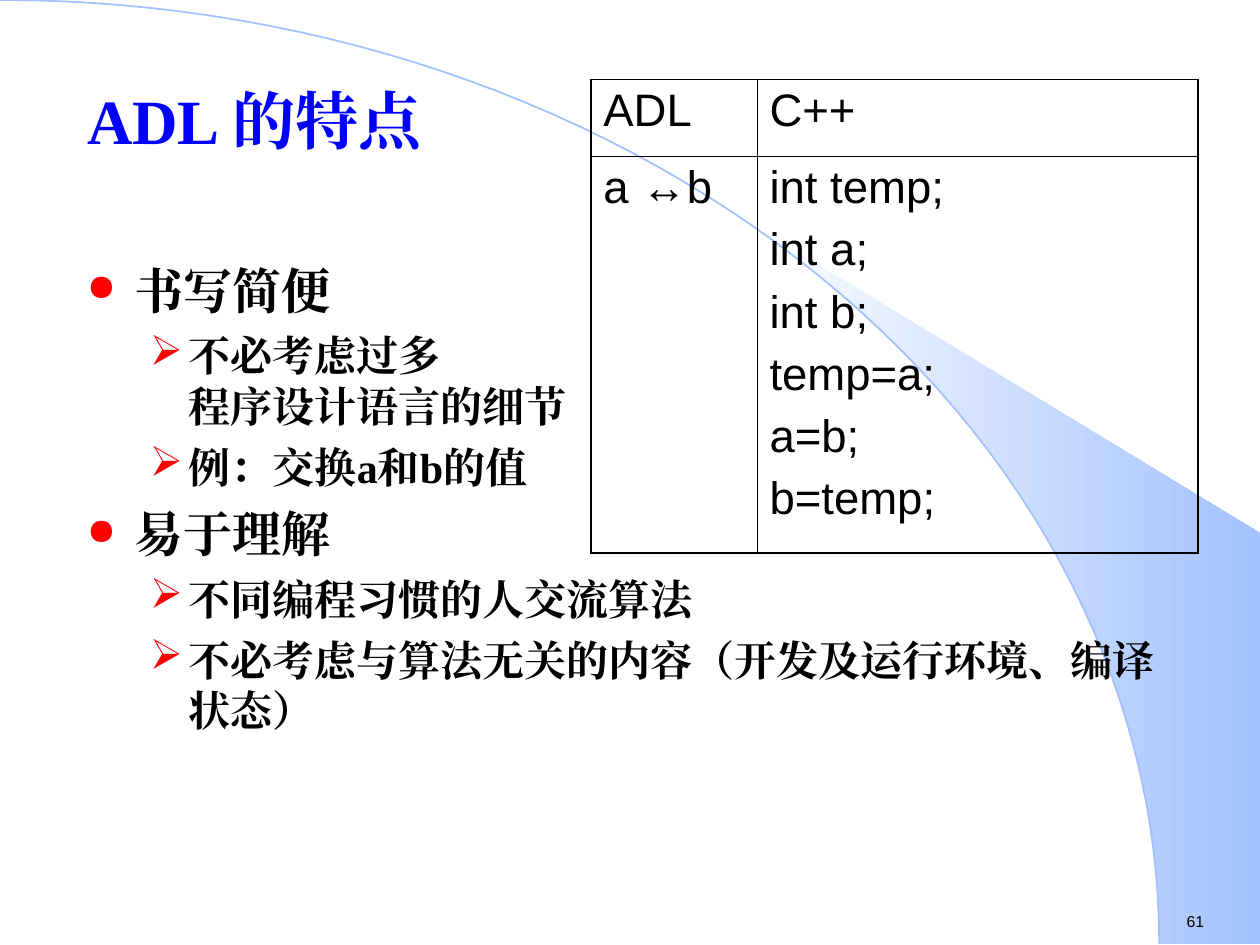
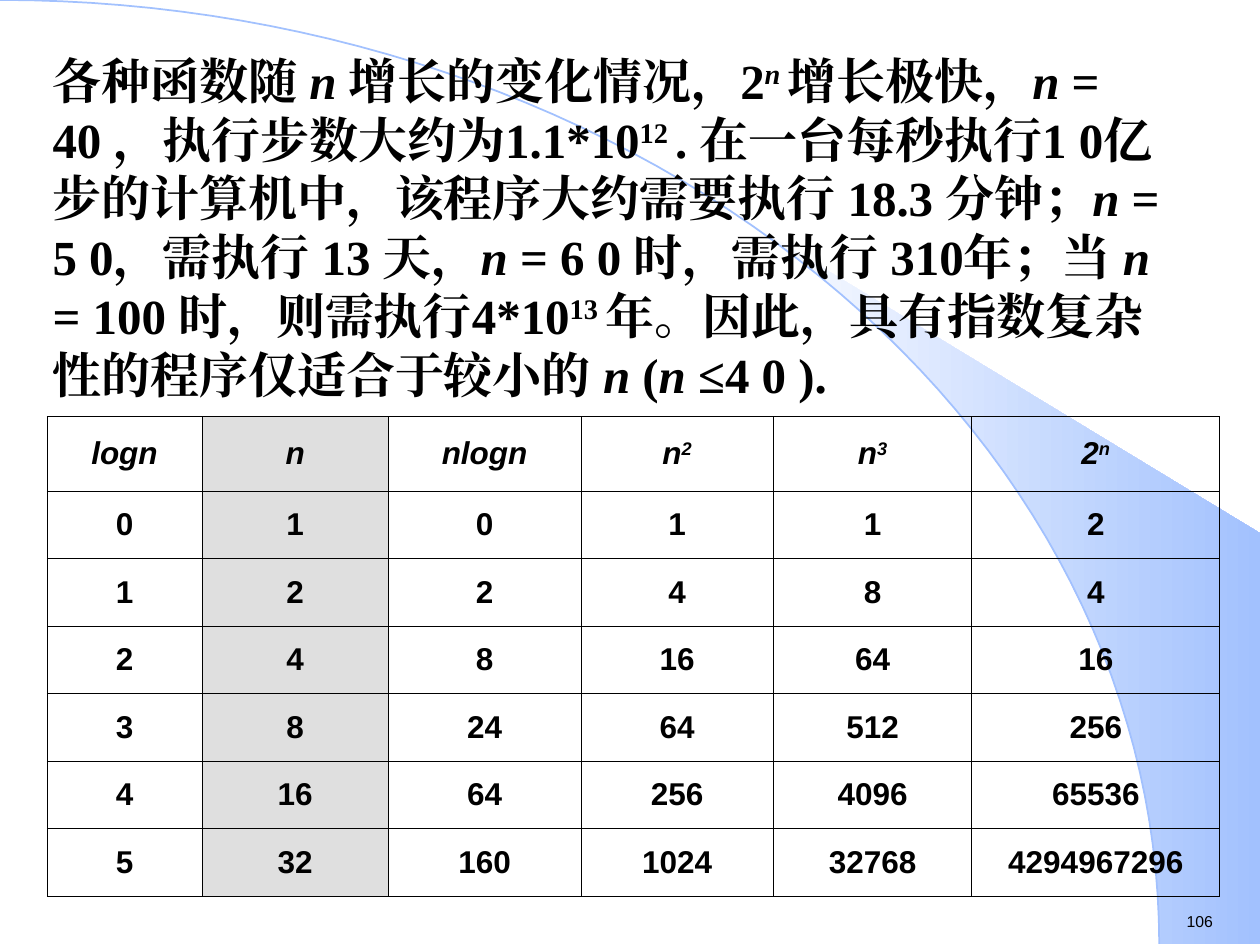
import math

import pptx
import pptx.dml.color
import pptx.enum.text
import pptx.oxml
import pptx.oxml.ns
import pptx.util

Cm = pptx.util.Cm
Pt = pptx.util.Pt
RGBColor = pptx.dml.color.RGBColor
ANCHOR = pptx.enum.text.MSO_ANCHOR
ALIGN = pptx.enum.text.PP_ALIGN

BLACK = RGBColor(0x00, 0x00, 0x00)
WHITE = RGBColor(0xFF, 0xFF, 0xFF)
BLUE = RGBColor(0x00, 0x00, 0xFF)
RED = RGBColor(0xFF, 0x00, 0x00)
SKY = RGBColor(0xA2, 0xC1, 0xFE)
GREY = RGBColor(0xDF, 0xDF, 0xDF)

SERIF = "Times New Roman"
SANS = "Arial"
WIDE, HIGH = 25.4, 19.05
ARC_W, ARC_H = 23.37, 19.03
THIN, THICK = 0.45, 1.08


def node(tag, **attrs):
    """Make an element in the drawing namespace."""
    item = pptx.oxml.parse_xml(f"<a:{tag} {pptx.oxml.ns.nsdecls('a')}/>")
    for key, value in attrs.items():
        item.set(key, str(value))
    return item


def colour(tag, rgb):
    item = node(tag)
    item.append(node("srgbClr", val=rgb))
    return item


class Deck:
    # Bullet level: mark, size in percent, left edge, hang, space before, text size
    LEVELS = [("●", 75, 0.97, 0.97, 7, 28), ("➢", 100, 2.06, 0.79, 6, 24)]

    def __init__(self):
        self.prs = pptx.Presentation()
        self.prs.slide_width, self.prs.slide_height = Cm(WIDE), Cm(HIGH)
        self.slide = None

    def page(self, number, title=False):
        """Start a slide with the shared backdrop and its number."""
        layout = self.prs.slide_layouts[5 if title else 6]
        self.slide = self.prs.slides.add_slide(layout)
        self.backdrop()
        frame = self.box(23.67, 18.26, 1.96, 0.64)
        frame.word_wrap = False
        frame.auto_size = pptx.enum.text.MSO_AUTO_SIZE.SHAPE_TO_FIT_TEXT
        frame.text = number
        self.font(frame.paragraphs[0], 9, SANS)

    def outline(self, points, close):
        spots = [(Cm(x), Cm(y)) for x, y in points]
        pen = self.slide.shapes.build_freeform(*spots[0])
        pen.add_line_segments(spots[1:], close=close)
        shape = pen.convert_to_shape()
        shape.shadow.inherit = False
        return shape

    def backdrop(self):
        """Draw the shaded fan and the quarter arc that bounds it."""
        def curve(start, steps):
            turns = [start + (math.pi / 2 - start) * k / steps for k in range(steps + 1)]
            return [(ARC_W * math.sin(t), ARC_H * (1 - math.cos(t))) for t in turns]

        tip = math.asin(14.96 / ARC_W)
        fan = self.outline(curve(tip, 24) + [(WIDE, ARC_H), (WIDE, 10.75)], True)
        fan.line.fill.background()
        fan.fill.gradient()
        fan.fill.gradient_angle = 0
        for stop, rgb in zip(fan.fill.gradient_stops, (WHITE, SKY)):
            stop.color.rgb = rgb
        arc = self.outline(curve(0, 60), False)
        arc.fill.background()
        arc.line.color.rgb = SKY
        arc.line.width = Pt(1)

    def font(self, para, size, face, bold=False, rgb=BLACK):
        for run in para.runs:
            run.font.size, run.font.name = Pt(size), face
            run.font.bold = run.font.bold or bold
            run.font.color.rgb = rgb
            run._r.get_or_add_rPr().append(node("ea", typeface=face))

    def rich(self, para, parts):
        """Add runs; a pair holds text and marks: b bold, i italic, s raised."""
        for part in [parts] if isinstance(parts, str) else parts:
            text, marks = (part, "") if isinstance(part, str) else part
            run = para.add_run()
            run.text = text
            run.font.bold = "b" in marks
            run.font.italic = "i" in marks
            if "s" in marks:
                run._r.get_or_add_rPr().set("baseline", "30000")

    def box(self, left, top, width, height):
        shape = self.slide.shapes.add_textbox(Cm(left), Cm(top), Cm(width), Cm(height))
        shape.text_frame.word_wrap = True
        return shape.text_frame

    def title(self, text, left, top, width, height):
        shape = self.slide.shapes.title
        shape.left, shape.top = Cm(left), Cm(top)
        shape.width, shape.height = Cm(width), Cm(height)
        frame = shape.text_frame
        frame.text = text
        frame.vertical_anchor = ANCHOR.TOP
        para = frame.paragraphs[0]
        para.alignment = ALIGN.LEFT
        self.font(para, 36, SERIF, True, BLUE)

    def bullets(self, items, *place):
        frame = self.box(*place)
        for index, (level, text) in enumerate(items):
            mark, scale, left, hang, gap, size = self.LEVELS[level]
            para = frame.add_paragraph() if index else frame.paragraphs[0]
            para.text = text
            para.level = level
            if index:
                para.space_before = Pt(gap)
            props = para._p.get_or_add_pPr()
            props.set("marL", str(Cm(left)))
            props.set("indent", str(-Cm(hang)))
            props.append(colour("buClr", RED))
            props.append(node("buSzPct", val=scale * 1000))
            props.append(node("buChar", char=mark))
            self.font(para, size, SERIF, True)

    def prose(self, parts, *place):
        para = self.box(*place).paragraphs[0]
        self.rich(para, parts)
        self.font(para, 28, SERIF, True)

    def edges(self, cell, widths):
        props = cell._tc.get_or_add_tcPr()
        for side, width in zip("LRTB", widths):
            line = node(f"ln{side}", w=Pt(width))
            line.append(colour("solidFill", BLACK))
            props.append(line)

    def table(self, rows, left, top, cols, highs, size, bold=False,
              centre=False, rim=THIN, shade=None):
        """Each cell is a list of paragraphs; each paragraph goes to rich()."""
        grid = self.slide.shapes.add_table(
            len(rows), len(cols), Cm(left), Cm(top), Cm(sum(cols)), Cm(sum(highs))).table
        grid.first_row = grid.horz_banding = False
        for col, width in zip(grid.columns, cols):
            col.width = Cm(width)
        for row, height in zip(grid.rows, highs):
            row.height = Cm(height)
        for r, row in enumerate(rows):
            for c, lines in enumerate(row):
                cell = grid.cell(r, c)
                outer = (c == 0, c == len(cols) - 1, r == 0, r == len(rows) - 1)
                self.edges(cell, [rim if out else THIN for out in outer])
                if c == shade:
                    cell.fill.solid()
                    cell.fill.fore_color.rgb = GREY
                else:
                    cell.fill.background()
                cell.vertical_anchor = ANCHOR.MIDDLE if centre else ANCHOR.TOP
                for index, parts in enumerate(lines):
                    frame = cell.text_frame
                    para = frame.add_paragraph() if index else frame.paragraphs[0]
                    if index:
                        para.space_before = Pt(6.5)
                    para.alignment = ALIGN.CENTER if centre else ALIGN.LEFT
                    self.rich(para, parts)
                    self.font(para, size, SANS, bold)


def traits(deck):
    """Features of ADL, with a comparison to C++."""
    deck.page("61", title=True)
    deck.title("ADL 的特点", 1.5, 1.52, 9, 3)
    deck.bullets([
        (0, "书写简便"),
        (1, "不必考虑过多\v程序设计语言的细节"),
        (1, "例：交换a和b的值"),
        (0, "易于理解"),
        (1, "不同编程习惯的人交流算法"),
        (1, "不必考虑与算法无关的内容（开发及运行环境、编译状态）"),
    ], 1.5, 5.13, 22.8, 10.8)
    code = ["int temp;", "int a;", "int b;", "temp=a;", "a=b;", "b=temp;"]
    deck.table([[["ADL"], ["C++"]], [[["a ", ("↔", "b"), "b"]], code]],
               11.91, 1.6, [3.35, 8.89], [1.55, 8], 26, rim=THICK)


def growth(deck):
    """Growth of common functions of n."""
    deck.page("106")
    var = ("n ", "i")
    deck.prose([
        "各种函数随 ", var, "增长的变化情况，2", ("n ", "is"), "增长极快，", var,
        "= 40 ，执行步数大约为1.1*10", ("12 ", "s"),
        ". 在一台每秒执行1 0亿步的计算机中，该程序大约需要执行 18.3 分钟；", var,
        "= 5 0，需执行 13 天，", var, "= 6 0 时，需执行 310年；当 ", var,
        "= 100 时，则需执行4*10", ("13 ", "s"),
        "年。因此，具有指数复杂性的程序仅适合于较小的 ", var, "(", var, "≤4 0 ).",
    ], 0.81, 0.89, 23.24, 7.37)
    heads = [("logn", ""), ("n", ""), ("nlogn", ""), ("n", "2"), ("n", "3"), ("2", "n")]
    rows = [[[[(base, "i")] + ([(power, "is")] if power else [])] for base, power in heads]]
    for log in range(6):
        n = 2 ** log
        rows.append([[str(value)] for value in (log, n, n * log, n ** 2, n ** 3, 2 ** n)])
    deck.table(rows, 0.95, 8.4, [3.12, 3.76, 3.88, 3.88, 4, 5], [1.5] + [1.36] * 6,
               18, bold=True, centre=True, shade=1)


def main():
    deck = Deck()
    traits(deck)
    growth(deck)
    deck.prs.save("out.pptx")


if __name__ == "__main__":
    main()
